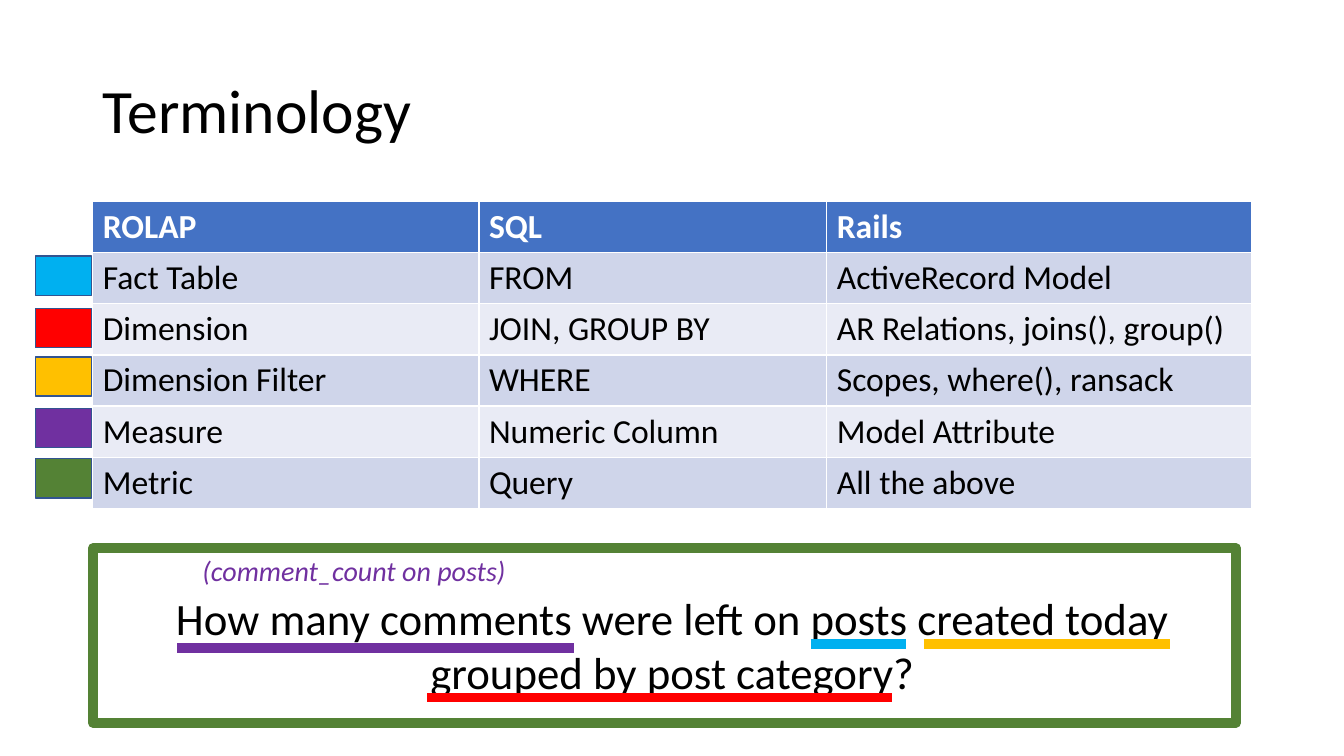
from lxml.etree import SubElement
from pptx import Presentation
from pptx.dml.color import RGBColor as Rgb
from pptx.enum.shapes import MSO_CONNECTOR as Link, MSO_SHAPE as Form
from pptx.enum.text import MSO_ANCHOR as Anchor, MSO_AUTO_SIZE as Fit, PP_ALIGN as Align
from pptx.oxml.ns import qn
from pptx.util import Pt

PX = 9144
FONT = "Calibri"
BLACK = Rgb(0, 0, 0)
WHITE = Rgb(255, 255, 255)
HEAD = Rgb(0x44, 0x72, 0xC4)
BANDS = Rgb(0xE9, 0xEB, 0xF5), Rgb(0xCF, 0xD5, 0xEA)
EDGE = Rgb(0x32, 0x54, 0x91)
BLUE = Rgb(0, 0xB0, 0xF0)
RED = Rgb(255, 0, 0)
GOLD = Rgb(255, 0xC0, 0)
PURPLE = Rgb(0x70, 0x30, 0xA0)
GREEN = Rgb(0x54, 0x82, 0x35)

TITLE = "Terminology"
TERMS = [
    ("ROLAP", "SQL", "Rails"),
    ("Fact Table", "FROM", "ActiveRecord Model"),
    ("Dimension", "JOIN, GROUP BY", "AR Relations, joins(), group()"),
    ("Dimension Filter", "WHERE", "Scopes, where(), ransack"),
    ("Measure", "Numeric Column", "Model Attribute"),
    ("Metric", "Query", "All the above"),
]
QUERY = "How many comments were left on posts created today grouped by post category?"
HINT = "(comment_count on posts)"
COLS = 383, 345, 421
ROW = 50
KEYS = [(254, BLUE), (306, RED), (354, GOLD), (405, PURPLE), (455, GREEN)]
MARKS = [
    (424, 885, 692, RED),
    (804, 899, 639, BLUE),
    (916, 1160, 639, GOLD),
    (176, 569, 643, PURPLE),
]


def emu(*vals):
    return [val * PX for val in vals]


def style(frame, size, color, bold=False, italic=False):
    for par in frame.paragraphs:
        for run in par.runs:
            font = run.font
            font.name, font.size = FONT, Pt(size)
            font.bold, font.italic = bold, italic
            font.color.rgb = color


def add_text(slide, area, text, size, color, wrap=True, align=Align.LEFT, italic=False):
    frame = slide.shapes.add_textbox(*emu(*area)).text_frame
    frame.word_wrap = wrap
    frame.auto_size = Fit.SHAPE_TO_FIT_TEXT
    frame.text = text
    frame.paragraphs[0].alignment = align
    style(frame, size, color, italic=italic)


def add_rect(slide, area, fill, edge, width):
    rect = slide.shapes.add_shape(Form.RECTANGLE, *emu(*area))
    rect.shadow.inherit = False
    if fill is None:
        rect.fill.background()
    else:
        rect.fill.solid()
        rect.fill.fore_color.rgb = fill
    rect.line.color.rgb = edge
    rect.line.width = Pt(width)


def add_mark(slide, left, right, y, color):
    line = slide.shapes.add_connector(Link.STRAIGHT, *emu(left, y, right, y))
    line.line.color.rgb = color
    line.line.width = Pt(7)
    SubElement(line._element.spPr, qn("a:effectLst"))


def add_title(slide):
    title = slide.shapes.title
    title.left, title.top, title.width, title.height = emu(92, 40, 1150, 145)
    frame = title.text_frame
    frame.text = TITLE
    frame.auto_size = Fit.NONE
    frame.vertical_anchor = Anchor.MIDDLE
    frame.paragraphs[0].alignment = Align.LEFT
    frame.paragraphs[0].line_spacing = 0.9
    style(frame, 44, BLACK)


def add_terms(slide):
    area = emu(92, 200, sum(COLS), ROW * len(TERMS))
    table = slide.shapes.add_table(len(TERMS), len(COLS), *area).table
    for col, width in zip(table.columns, COLS):
        col.width = width * PX
    for r, terms in enumerate(TERMS):
        for c, term in enumerate(terms):
            cell = table.cell(r, c)
            cell.text_frame.text = term
            cell.fill.solid()
            cell.fill.fore_color.rgb = BANDS[r % 2] if r else HEAD
            style(cell.text_frame, 24, BLACK if r else WHITE, bold=r == 0)


def main():
    deck = Presentation()
    deck.slide_width, deck.slide_height = emu(1333, 750)
    slide = deck.slides.add_slide(deck.slide_layouts[5])
    add_title(slide)
    add_terms(slide)
    add_text(slide, (92, 581, 1150, 118), QUERY, 32, BLACK, align=Align.CENTER)
    for mark in MARKS:
        add_mark(slide, *mark)
    for top, color in KEYS:
        add_rect(slide, (35, top, 56, 39), color, EDGE, 1)
    add_text(slide, (191, 544, 329, 44), HINT, 20, PURPLE, wrap=False, italic=True)
    add_rect(slide, (92, 544, 1134, 173), None, GREEN, 7)
    deck.save("out.pptx")


if __name__ == "__main__":
    main()
